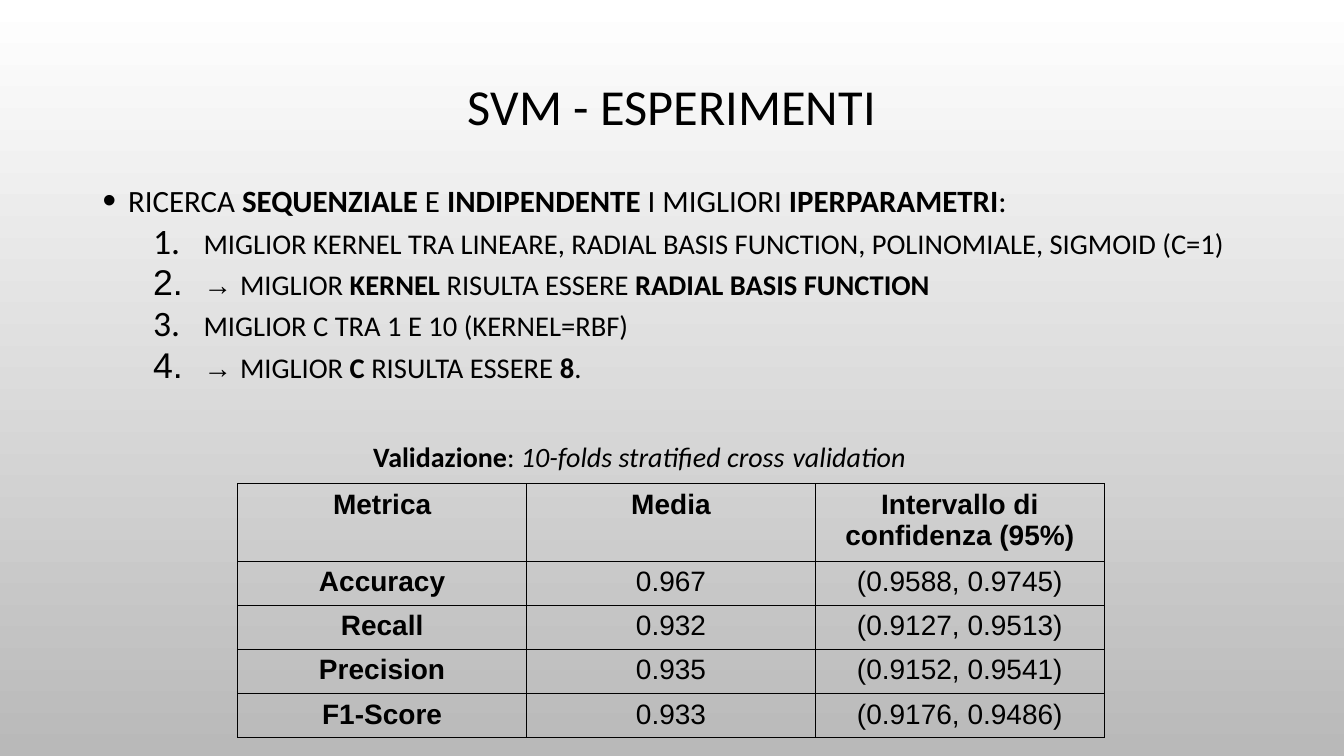
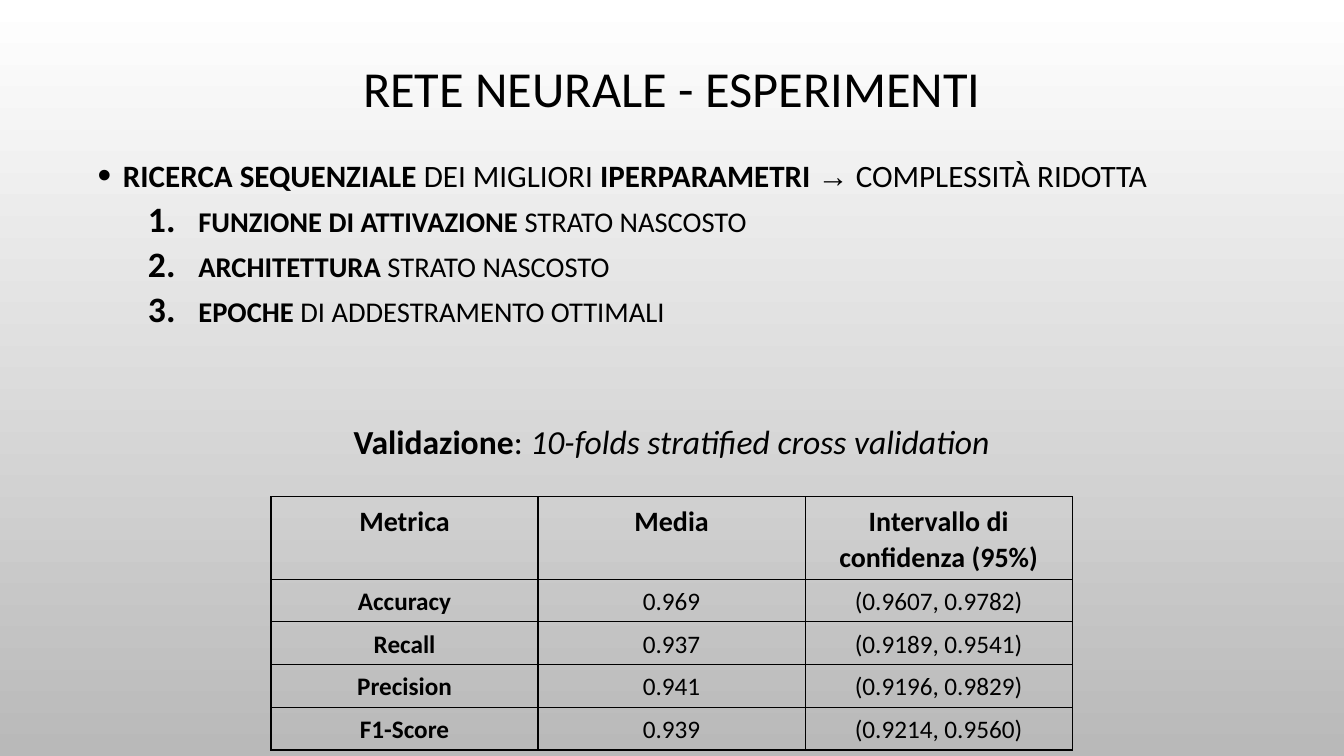
from dataclasses import dataclass
from typing import NamedTuple, Optional

from lxml.etree import SubElement
from pptx import Presentation
from pptx.dml.color import RGBColor
from pptx.enum.text import MSO_ANCHOR, MSO_AUTO_SIZE, PP_ALIGN
from pptx.oxml import parse_xml
from pptx.oxml.ns import nsdecls, qn
from pptx.util import Cm, Pt

COLORS = {"text": "000000", "border": "000000", "top": "FFFFFF", "bottom": "B9B9B9"}
BODY_FONT = "Calibri"
ARROW_FONT = "Arial"
TITLE_SIZE = 36
HEADERS = ("Metrica", "Media", "Intervallo di confidenza (95%)")


class Span(NamedTuple):
    text: str
    bold: bool = False
    italic: bool = False
    font: str = BODY_FONT
    size: Optional[float] = None


class Box(NamedTuple):
    """Position and size in centimetres."""
    left: float
    top: float
    width: float
    height: float

    def lengths(self) -> tuple:
        return tuple(Cm(value) for value in self)


@dataclass
class ParameterSearch:
    box: Box
    heading: list[Span]
    steps: list[list[Span]]
    heading_size: float
    line_spacing: float
    step_size: float = 20.4


@dataclass
class Caption:
    box: Box
    size: float
    spans: list[Span]


@dataclass
class MetricsTable:
    left: float
    top: float
    column_width: float
    header_height: float
    row_height: float
    rows: list[tuple[str, str, str]]
    font: str
    header_size: float
    body_size: float
    side_margin: float
    border_width: float
    line_spacing: float = 1.0
    space_after: float = 0


@dataclass
class Experiment:
    title: str
    title_top: float
    search: ParameterSearch
    caption: Caption
    metrics: MetricsTable


def bold(text: str) -> Span:
    return Span(text, bold=True)


def arrow(text: str) -> Span:
    return Span(text, font=ARROW_FONT)


def italic(text: str) -> Span:
    return Span(text, italic=True)


EXPERIMENTS = [
    Experiment(
        title="SVM - ESPERIMENTI",
        title_top=0.69,
        search=ParameterSearch(
            box=Box(2.34, 4.45, 30.68, 5.79),
            heading=[Span("RICERCA "), bold("SEQUENZIALE"), Span(" E "), bold("INDIPENDENTE"),
                     Span(" I MIGLIORI "), bold("IPERPARAMETRI"), Span(":")],
            steps=[
                [Span("MIGLIOR KERNEL TRA LINEARE, RADIAL BASIS FUNCTION, "
                      "POLINOMIALE, SIGMOID (C=1)")],
                [arrow("→ "), Span("MIGLIOR "), bold("KERNEL"), Span(" RISULTA ESSERE "),
                 bold("RADIAL BASIS FUNCTION")],
                [Span("MIGLIOR C TRA 1 E 10 (KERNEL=RBF)")],
                [arrow("→ "), Span("MIGLIOR "), bold("C"), Span(" RISULTA ESSERE "),
                 bold("8"), Span(".")],
            ],
            heading_size=22.1,
            line_spacing=1.0,
        ),
        caption=Caption(
            Box(6.83, 10.8, 18.57, 2.03), 20,
            [bold("Validazione"), Span(": "), italic("10-folds stratified cross"),
             Span(" ", italic=True, size=24), italic("validation")],
        ),
        metrics=MetricsTable(
            left=5.99, top=12.19, column_width=7.28, header_height=1.57, row_height=1.11,
            rows=[
                ("Accuracy", "0.967", "(0.9588, 0.9745)"),
                ("Recall", "0.932", "(0.9127, 0.9513)"),
                ("Precision", "0.935", "(0.9152, 0.9541)"),
                ("F1-Score", "0.933", "(0.9176, 0.9486)"),
            ],
            font="Arial", header_size=20, body_size=20, side_margin=0.1, border_width=0.57,
        ),
    ),
    Experiment(
        title="RETE NEURALE - ESPERIMENTI",
        title_top=0.25,
        search=ParameterSearch(
            box=Box(2.21, 3.73, 29.41, 5.79),
            heading=[bold("RICERCA SEQUENZIALE"), Span(" DEI MIGLIORI "),
                     bold("IPERPARAMETRI "), arrow("→"), Span(" COMPLESSITÀ RIDOTTA")],
            steps=[
                [bold("FUNZIONE DI ATTIVAZIONE "), Span("STRATO NASCOSTO")],
                [bold("ARCHITETTURA"), Span(" STRATO NASCOSTO")],
                [bold("EPOCHE"), Span(" DI ADDESTRAMENTO OTTIMALI")],
            ],
            heading_size=22.2,
            line_spacing=1.1,
        ),
        caption=Caption(
            Box(6.83, 10.49, 20.19, 2.03), 24,
            [bold("Validazione"), Span(": "), italic("10-folds stratified cross validation")],
        ),
        metrics=MetricsTable(
            left=6.83, top=12.52, column_width=6.73, header_height=1.88, row_height=0.91,
            rows=[
                ("Accuracy", "0.969", "(0.9607, 0.9782)"),
                ("Recall", "0.937", "(0.9189, 0.9541)"),
                ("Precision", "0.941", "(0.9196, 0.9829)"),
                ("F1-Score", "0.939", "(0.9214, 0.9560)"),
            ],
            font=BODY_FONT, header_size=20, body_size=18, side_margin=0.18, border_width=0.96,
            line_spacing=1.07, space_after=8,
        ),
    ),
]


def color(name: str) -> RGBColor:
    return RGBColor.from_string(COLORS[name])


def write_spans(paragraph, spans: list[Span], size: float) -> None:
    for span in spans:
        run = paragraph.add_run()
        run.text = span.text
        run.font.name = span.font
        run.font.size = Pt(span.size or size)
        run.font.bold = span.bold
        run.font.italic = span.italic
        run.font.color.rgb = color("text")


def paint_background(master) -> None:
    fill = master.background.fill
    fill.gradient()
    fill.gradient_angle = 270
    for stop, name in zip(fill.gradient_stops, ("top", "bottom")):
        stop.color.rgb = color(name)


def add_title(slide, text: str, top: float) -> None:
    title = slide.shapes.title
    title.left, title.top, title.width, title.height = Box(3.18, top, 27.51, 4.11).lengths()
    frame = title.text_frame
    frame.auto_size = MSO_AUTO_SIZE.NONE
    frame.vertical_anchor = MSO_ANCHOR.MIDDLE
    paragraph = frame.paragraphs[0]
    paragraph.alignment = PP_ALIGN.CENTER
    paragraph.line_spacing = 0.9
    write_spans(paragraph, [Span(text)], TITLE_SIZE)


def add_bullet(paragraph, indent: float, hanging: float, numbered: bool) -> None:
    properties = paragraph._p.get_or_add_pPr()
    properties.set("marL", str(Cm(indent)))
    properties.set("indent", str(-Cm(hanging)))
    bullet_color = SubElement(properties, qn("a:buClr"))
    SubElement(bullet_color, qn("a:srgbClr"), val=COLORS["text"])
    SubElement(properties, qn("a:buSzPct"), val="125000")
    if numbered:
        SubElement(properties, qn("a:buAutoNum"), type="arabicPeriod")
    else:
        SubElement(properties, qn("a:buFont"), typeface="Arial")
        SubElement(properties, qn("a:buChar"), char="•")


def add_search(slide, search: ParameterSearch) -> None:
    frame = slide.shapes.add_textbox(*search.box.lengths()).text_frame
    frame.word_wrap = True
    for index, spans in enumerate([search.heading, *search.steps]):
        is_step = index > 0
        paragraph = frame.add_paragraph() if is_step else frame.paragraphs[0]
        paragraph.level = int(is_step)
        paragraph.line_spacing = search.line_spacing
        paragraph.space_before = Pt(5 if is_step else 10)
        indent, hanging = (2.54, 1.27) if is_step else (0.64, 0.64)
        add_bullet(paragraph, indent, hanging, numbered=is_step)
        write_spans(paragraph, spans, search.step_size if is_step else search.heading_size)


def add_caption(slide, caption: Caption) -> None:
    frame = slide.shapes.add_textbox(*caption.box.lengths()).text_frame
    frame.word_wrap = True
    frame.auto_size = MSO_AUTO_SIZE.SHAPE_TO_FIT_TEXT
    frame.paragraphs[0].alignment = PP_ALIGN.CENTER
    write_spans(frame.paragraphs[0], caption.spans, caption.size)


def add_borders(cell, width: float) -> None:
    properties = cell._tc.get_or_add_tcPr()
    for position, side in enumerate(("lnL", "lnR", "lnT", "lnB")):
        properties.insert(position, parse_xml(
            f'<a:{side} {nsdecls("a")} w="{Pt(width)}"><a:solidFill>'
            f'<a:srgbClr val="{COLORS["border"]}"/></a:solidFill></a:{side}>'))


def add_metrics(slide, metrics: MetricsTable) -> None:
    contents = [HEADERS, *metrics.rows]
    box = Box(metrics.left, metrics.top, metrics.column_width * len(HEADERS),
              metrics.header_height + metrics.row_height * len(metrics.rows))
    table = slide.shapes.add_table(len(contents), len(HEADERS), *box.lengths()).table
    table.first_row = table.horz_banding = False
    for column in table.columns:
        column.width = Cm(metrics.column_width)
    for row_index, values in enumerate(contents):
        is_header = row_index == 0
        table.rows[row_index].height = Cm(
            metrics.header_height if is_header else metrics.row_height)
        for column_index, value in enumerate(values):
            cell = table.cell(row_index, column_index)
            cell.fill.background()
            cell.margin_left = cell.margin_right = Cm(metrics.side_margin)
            cell.margin_top = cell.margin_bottom = Cm(0.13)
            add_borders(cell, metrics.border_width)
            paragraph = cell.text_frame.paragraphs[0]
            paragraph.alignment = PP_ALIGN.CENTER
            paragraph.line_spacing = metrics.line_spacing
            paragraph.space_after = Pt(metrics.space_after)
            span = Span(value, bold=is_header or column_index == 0, font=metrics.font)
            write_spans(paragraph, [span],
                        metrics.header_size if is_header else metrics.body_size)


def main() -> None:
    presentation = Presentation()
    presentation.slide_width, presentation.slide_height = Cm(33.87), Cm(19.05)
    paint_background(presentation.slide_master)
    title_only = presentation.slide_layouts.get_by_name("Title Only")
    for experiment in EXPERIMENTS:
        slide = presentation.slides.add_slide(title_only)
        add_title(slide, experiment.title, experiment.title_top)
        add_search(slide, experiment.search)
        add_metrics(slide, experiment.metrics)
        add_caption(slide, experiment.caption)
    presentation.save("out.pptx")


if __name__ == "__main__":
    main()
